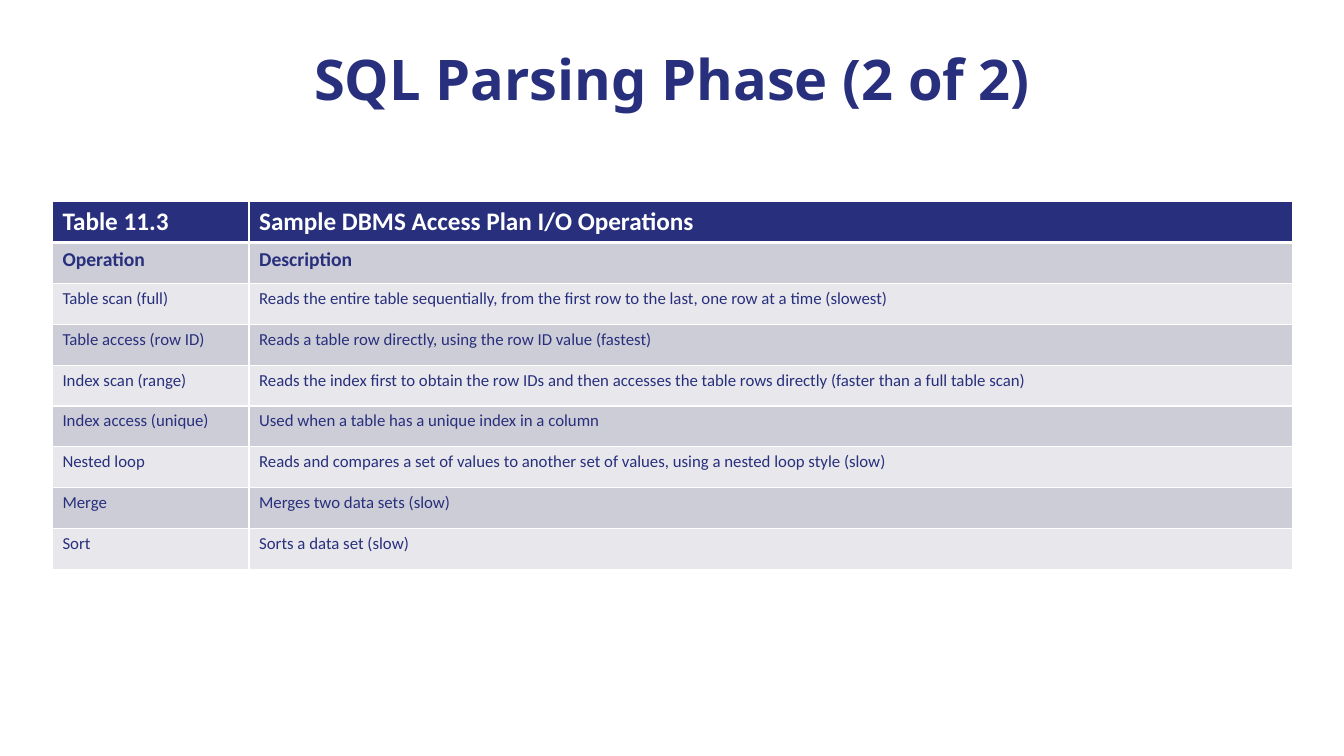
from dataclasses import dataclass

from lxml.etree import SubElement
from pptx import Presentation
from pptx.dml.color import RGBColor
from pptx.enum.text import MSO_ANCHOR, PP_ALIGN
from pptx.oxml.ns import qn
from pptx.slide import Slide
from pptx.table import _Cell
from pptx.text.text import TextFrame
from pptx.util import Inches, Pt

NAVY = "282F7C"
WHITE = "FFFFFF"
DARK_BAND = "CDCDD7"
LIGHT_BAND = "E8E8EC"
ROW_HEIGHT = 3.65 / 9
COLUMN_WIDTHS = (1.95, 10.35)


@dataclass(frozen=True)
class RowStyle:
    fill: str
    color: str = NAVY
    size: int = 12
    bold: bool = False
    top_line: float = 1
    bottom_line: float = 1


@dataclass(frozen=True)
class Operation:
    name: str
    description: str


CAPTION = Operation("Table 11.3", "Sample DBMS Access Plan I/O Operations")
HEADINGS = Operation("Operation", "Description")
OPERATIONS = (
    Operation("Table scan (full)",
              "Reads the entire table sequentially, from the first row to the last, "
              "one row at a time (slowest)"),
    Operation("Table access (row ID)",
              "Reads a table row directly, using the row ID value (fastest)"),
    Operation("Index scan (range)",
              "Reads the index first to obtain the row IDs and then accesses the "
              "table rows directly (faster than a full table scan)"),
    Operation("Index access (unique)",
              "Used when a table has a unique index in a column"),
    Operation("Nested loop",
              "Reads and compares a set of values to another set of values, "
              "using a nested loop style (slow)"),
    Operation("Merge", "Merges two data sets (slow)"),
    Operation("Sort", "Sorts a data set (slow)"),
)


def rgb(color: str) -> RGBColor:
    return RGBColor.from_string(color)


def write_text(frame: TextFrame, text: str, *, size: float, color: str,
               font: str = "Calibri", bold: bool = False,
               align: PP_ALIGN = PP_ALIGN.LEFT, spacing: float = 1.0) -> None:
    para = frame.paragraphs[0]
    para.alignment = align
    para.line_spacing = spacing
    span = para.add_run()
    span.text = text
    span.font.name = font
    span.font.size = Pt(size)
    span.font.bold = bold
    span.font.color.rgb = rgb(color)


def set_borders(cell: _Cell, style: RowStyle) -> None:
    properties = cell._tc.get_or_add_tcPr()
    widths = {"lnL": 1, "lnR": 1, "lnT": style.top_line, "lnB": style.bottom_line}
    for side, width in widths.items():
        line = SubElement(properties, qn(f"a:{side}"), w=str(Pt(width)))
        fill = SubElement(line, qn("a:solidFill"))
        SubElement(fill, qn("a:srgbClr"), val=WHITE)


def add_title(page: Slide, text: str) -> None:
    box = page.shapes.title
    box.left, box.top = Inches(0.52), Inches(0.52)
    box.width, box.height = Inches(12.29), Inches(1.33)
    frame = box.text_frame
    frame.word_wrap = True
    frame.vertical_anchor = MSO_ANCHOR.TOP
    frame.margin_left = frame.margin_right = 0
    frame.margin_top = frame.margin_bottom = 0
    write_text(frame, text, size=40, color=NAVY, font="Noto Sans", bold=True,
               align=PP_ALIGN.CENTER, spacing=0.9)


def add_operations_table(page: Slide) -> None:
    # Caption and headings first, then bands that alternate
    rows = [(CAPTION, RowStyle(NAVY, WHITE, 18, True, bottom_line=3)),
            (HEADINGS, RowStyle(DARK_BAND, size=14, bold=True, top_line=3))]
    for index, operation in enumerate(OPERATIONS):
        rows.append((operation, RowStyle(DARK_BAND if index % 2 else LIGHT_BAND)))

    table = page.shapes.add_table(
        len(rows), len(COLUMN_WIDTHS), Inches(0.52), Inches(2),
        Inches(sum(COLUMN_WIDTHS)), Inches(ROW_HEIGHT * len(rows))).table
    table.horz_banding = False
    for column, width in zip(table.columns, COLUMN_WIDTHS):
        column.width = Inches(width)

    for row, (operation, style) in zip(table.rows, rows):
        row.height = Inches(ROW_HEIGHT)
        for cell, text in zip(row.cells, (operation.name, operation.description)):
            set_borders(cell, style)
            cell.fill.solid()
            cell.fill.fore_color.rgb = rgb(style.fill)
            write_text(cell.text_frame, text, size=style.size,
                       color=style.color, bold=style.bold)


def main() -> None:
    deck = Presentation()
    deck.slide_width, deck.slide_height = Inches(13.33), Inches(7.5)
    page = deck.slides.add_slide(deck.slide_layouts.get_by_name("Title Only"))
    add_title(page, "SQL Parsing Phase (2 of 2)")
    add_operations_table(page)
    deck.save("out.pptx")


if __name__ == "__main__":
    main()
